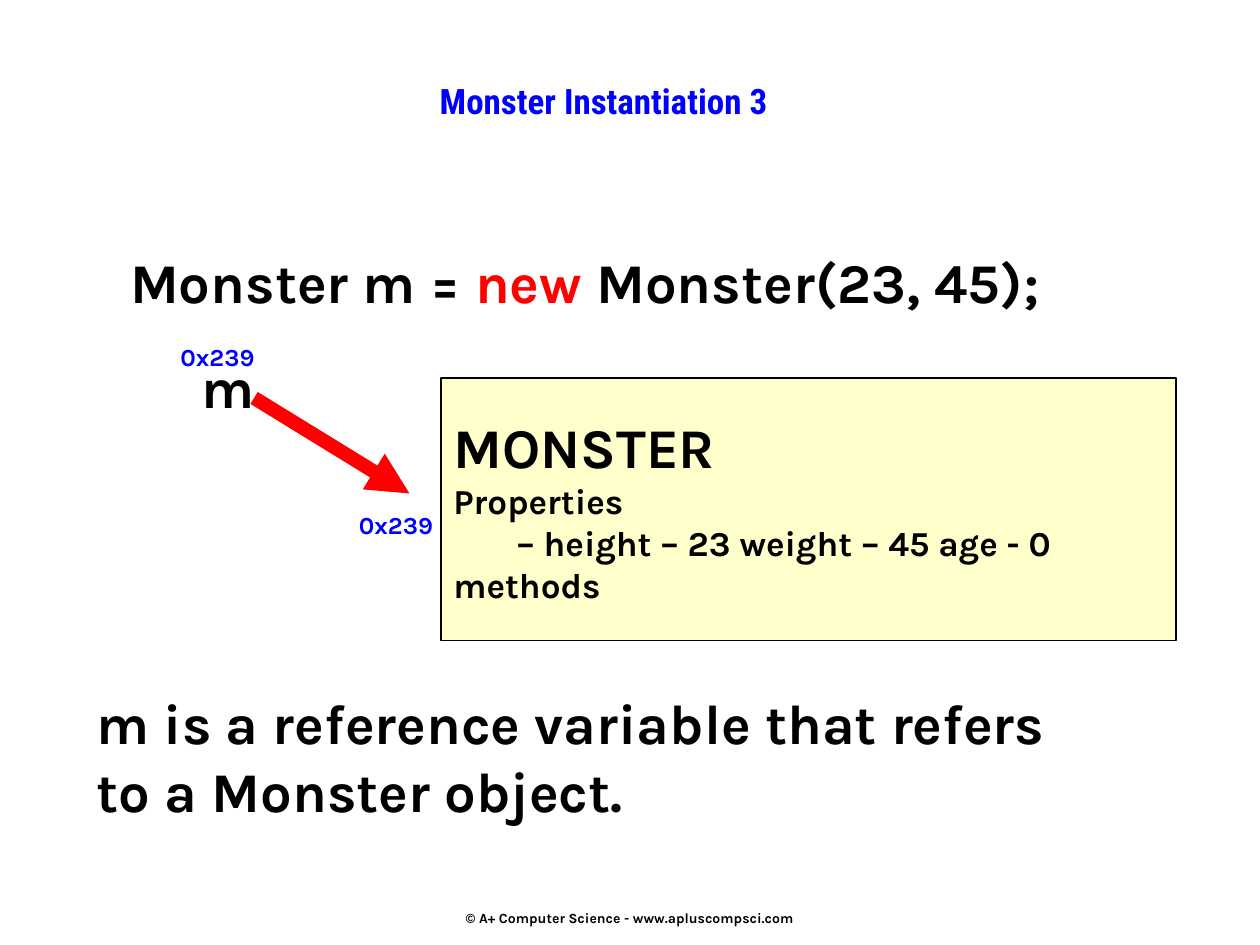
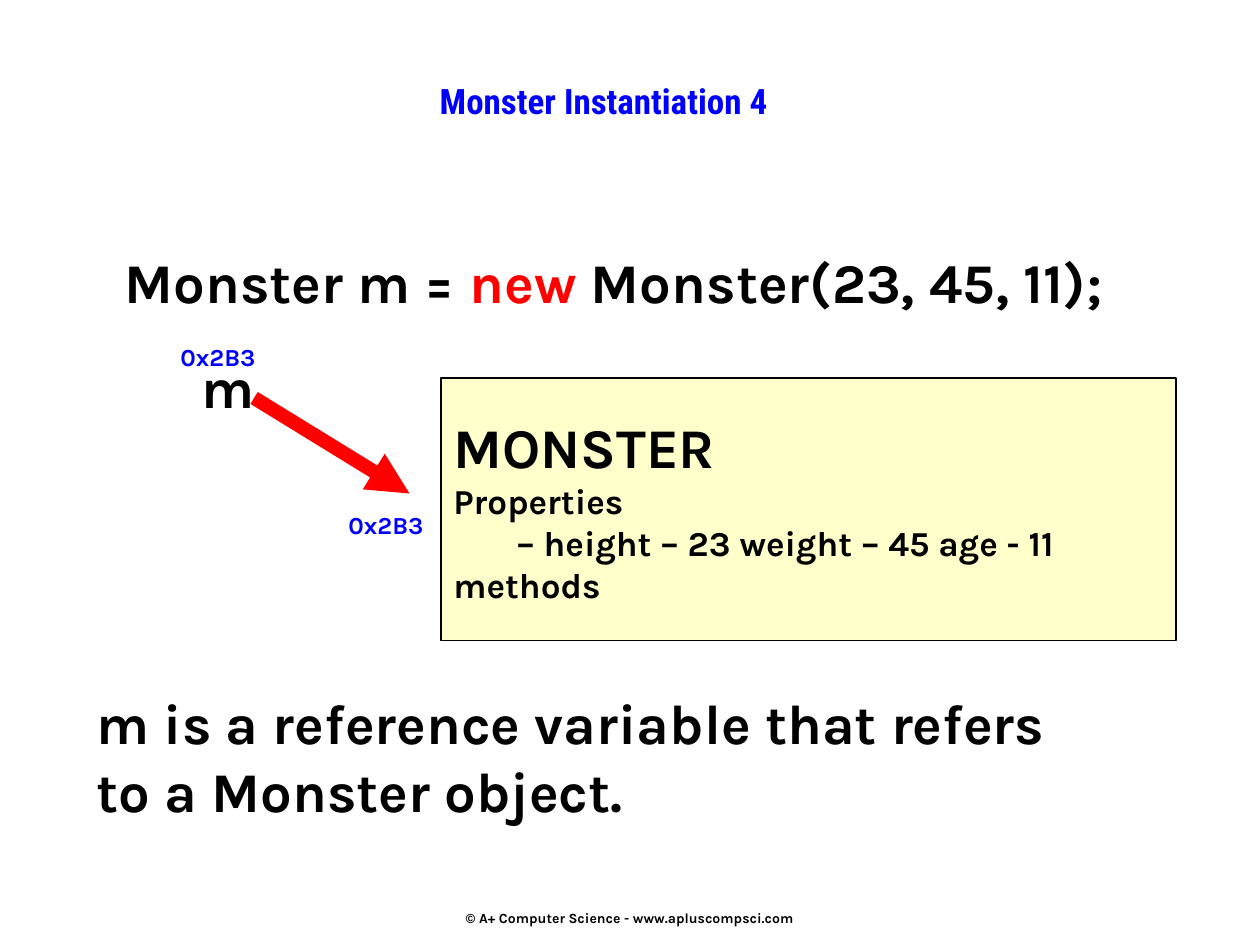
import pptx
import pptx.util
import pptx.dml.color
import pptx.enum.shapes
import pptx.enum.text
import pptx.oxml.ns
from lxml import etree

# Shared style: a grid of 120 columns by 90 rows covers the slide
WIDE, HIGH = pptx.util.Inches(10), pptx.util.Inches(7.5)
COLS, ROWS = 120, 90
HUES = {"ink": "000000", "blue": "0000FF", "red": "FF0000", "cream": "FFFFCC"}
FONT, HEAD = "Karla", "Roboto Condensed"
BIG, MID, SMALL, TINY = 32, 20, 14, 8
ALIGN = pptx.enum.text.PP_ALIGN
ANCHOR = pptx.enum.text.MSO_ANCHOR
FOOT = "© A+ Computer Science - www.apluscompsci.com"
NOTE = ["m is a reference variable that refers", "to a Monster object."]


def hue(name):
    return pptx.dml.color.RGBColor.from_string(HUES[name])


def col(n):
    return round(WIDE * n / COLS)


def row(n):
    return round(HIGH * n / ROWS)


def tag(parent, name, **attrs):
    return etree.SubElement(parent, pptx.oxml.ns.qn(name), attrs)


def place(shape, x, y, w, h):
    shape.left, shape.top, shape.width, shape.height = col(x), row(y), col(w), row(h)


def style(run, size, color="ink", face=FONT):
    font = run.font
    font.name, font.size, font.bold = face, pptx.util.Pt(size), True
    font.color.rgb = hue(color)


def frame(shape, anchor=ANCHOR.TOP):
    text = shape.text_frame
    text.word_wrap = True
    text.auto_size = pptx.enum.text.MSO_AUTO_SIZE.NONE
    text.vertical_anchor = anchor
    return text


def fill(text, lines, align=ALIGN.LEFT):
    """Each line is a list of (words, style arguments) runs."""
    for i, line in enumerate(lines):
        para = text.add_paragraph() if i else text.paragraphs[0]
        para.alignment = align
        para.space_before = pptx.util.Pt(0)
        for words, *look in line:
            run = para.add_run()
            run.text = words
            style(run, *look)


def label(slide, area, line, align=ALIGN.LEFT, anchor=ANCHOR.TOP):
    box = slide.shapes.add_textbox(0, 0, 0, 0)
    place(box, *area)
    text = frame(box, anchor)
    fill(text, [line], align)
    return text


def title(slide, words):
    shape = slide.shapes.title
    place(shape, 10, 7, 95, 9)
    fill(frame(shape), [[(words, MID, "blue", HEAD)]], ALIGN.CENTER)


def body(slide, lines):
    shape = slide.placeholders[1]
    place(shape, 8, 65, 98, 14)
    text = frame(shape)
    fill(text, [[(line, BIG)] for line in lines])
    for para in text.paragraphs:
        props = para._p.get_or_add_pPr()
        props.set("marL", "0")
        props.set("indent", "0")
        tag(props, "a:buNone")


def card(slide, facts):
    kind = pptx.enum.shapes.MSO_SHAPE.RECTANGLE
    box = slide.shapes.add_shape(kind, 0, 0, 0, 0)
    place(box, 42, 36, 70, 25)
    box.shadow.inherit = False
    box.fill.solid()
    box.fill.fore_color.rgb = hue("cream")
    box.line.color.rgb = hue("ink")
    box.line.width = pptx.util.Pt(1)
    text = frame(box, ANCHOR.MIDDLE)
    rest = [[(line, MID)] for line in ("Properties", facts, "methods")]
    fill(text, [[("MONSTER", BIG)]] + rest)
    # The facts sit half an inch in
    text.paragraphs[2]._p.get_or_add_pPr().set("marL", str(col(6)))


def arrow(slide, x1, y1, x2, y2):
    kind = pptx.enum.shapes.MSO_CONNECTOR.STRAIGHT
    link = slide.shapes.add_connector(kind, col(x1), row(y1), col(x2), row(y2))
    link.line.color.rgb = hue("red")
    link.line.width = pptx.util.Pt(8)
    tag(link.line._get_or_add_ln(), "a:tailEnd", type="triangle")
    tag(link._element.spPr, "a:effectLst")


def footer(slide):
    text = label(slide, (41, 82, 38, 6.2), [(FOOT, TINY)], ALIGN.CENTER, ANCHOR.BOTTOM)
    text.margin_bottom = 0


def build(deck, num, args, age, spot, code_x, code_w, ref_x):
    slide = deck.slides.add_slide(deck.slide_layouts[1])
    title(slide, f"Monster Instantiation {num}")
    body(slide, NOTE)
    footer(slide)
    # Statement
    code = [("Monster m = ", BIG), ("new", BIG, "red"), (f" Monster({args});", BIG)]
    label(slide, (code_x, 23, code_w, 7.7), code)
    # Variable, its address and the object it points to
    card(slide, f"– height – 23 weight – 45 age - {age}")
    arrow(slide, 24.2, 37.9, 39, 47)
    label(slide, (18, 33, 7.6, 7.7), [("m", BIG)])
    for x, y in ((16, 32), (ref_x, 48)):
        label(slide, (x, y, 11, 4), [(spot, SMALL, "blue")])


def main():
    deck = pptx.Presentation()
    deck.slide_width, deck.slide_height = WIDE, HIGH
    build(deck, 3, "23, 45", 0, "0x239", 11.2, 92.5, 33)
    build(deck, 4, "23, 45, 11", 11, "0x2B3", 10.7, 101.5, 32)
    deck.save("out.pptx")


if __name__ == "__main__":
    main()
